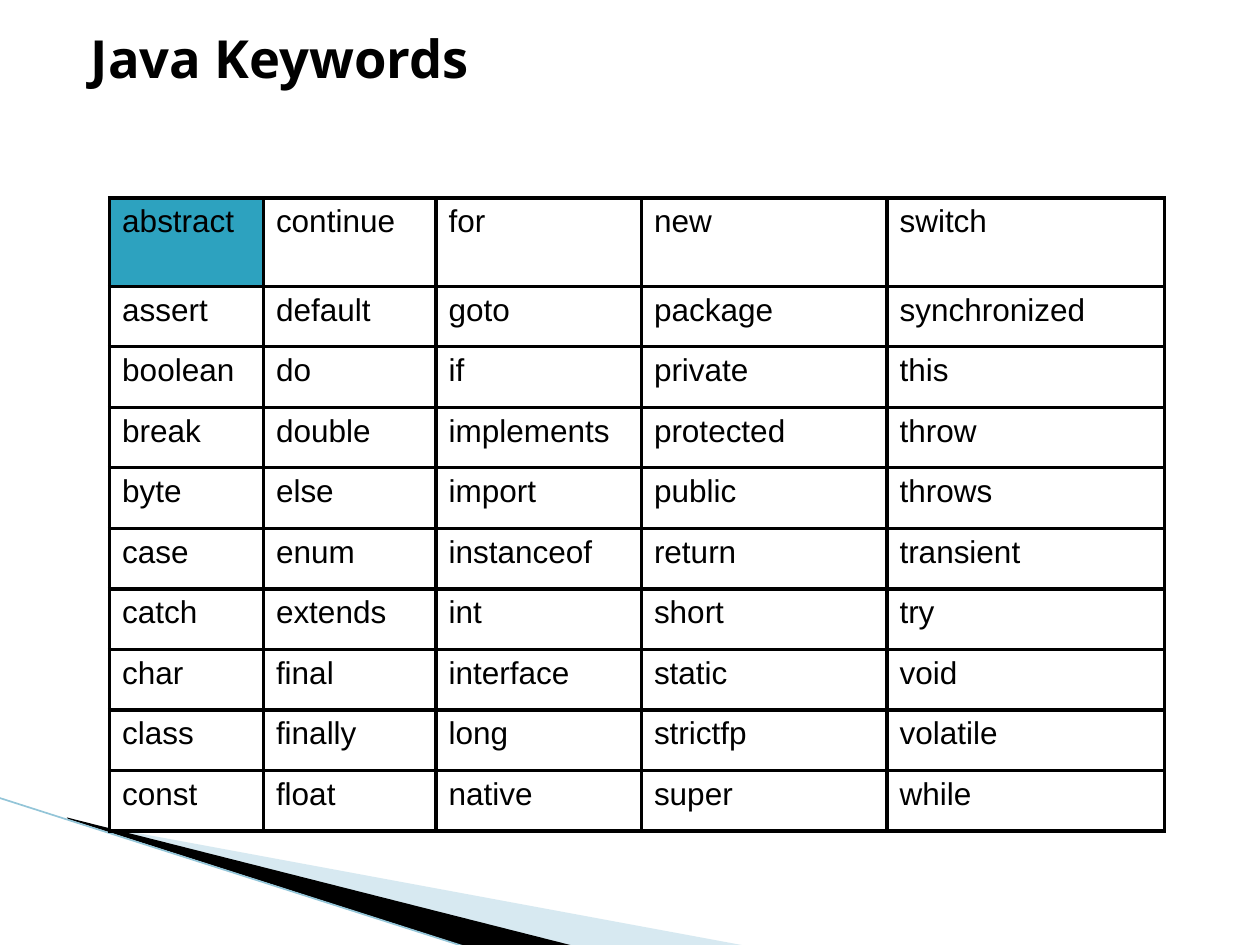
"""Build a slide with a table of the Java keywords."""
from lxml import etree
from pptx import Presentation
from pptx import util as u
from pptx.dml.color import RGBColor
from pptx.enum import shapes, text
from pptx.oxml import ns


def tint(form, code):
    form.solid()
    form.fore_color.rgb = RGBColor.from_string(code)


def style(para, font, size, bold=False):
    for run in para.runs:
        run.font.name = font
        run.font.size = u.Pt(size)
        run.font.bold = bold
        tint(run.font.fill, "000000")


deck = Presentation()
deck.slide_width, deck.slide_height = u.Cm(25.4), u.Cm(19.05)
slide = deck.slides.add_slide(deck.slide_layouts[6])

wedges = [
    ("9CCADC", 40, [(1.4, 16.54), (15.11, 19.08), (11.58, 19.08), (1.4, 16.51)]),
    ("000000", 100, [(1.35, 16.48), (11.61, 19.08), (9.45, 19.1), (1.37, 16.51)]),
]
for code, alpha, spots in wedges:
    spots = [(u.Cm(x), u.Cm(y)) for x, y in spots]
    pen = slide.shapes.build_freeform(*spots[0])
    pen.add_line_segments(spots[1:])
    wedge = pen.convert_to_shape()
    wedge.shadow.inherit = False
    tint(wedge.fill, code)
    wedge.line.fill.background()
    if alpha < 100:
        hue = wedge.fill._xPr.find(".//" + ns.qn("a:srgbClr"))
        etree.SubElement(hue, ns.qn("a:alpha"), val=str(alpha * 1000))

edge = slide.shapes.add_connector(
    shapes.MSO_CONNECTOR.STRAIGHT, u.Cm(-0.03), u.Cm(16.08), u.Cm(9.42), u.Cm(19.1))
tint(edge.line.fill, "93C5D8")
edge.line.width = u.Pt(0.95)
etree.SubElement(edge._element.spPr, ns.qn("a:effectLst"))

title = slide.shapes.add_textbox(u.Cm(1.27), u.Cm(0.41), u.Cm(22.86), u.Cm(1.55))
frame = title.text_frame
frame.word_wrap = True
frame.auto_size = text.MSO_AUTO_SIZE.SHAPE_TO_FIT_TEXT
frame.text = "Java Keywords"
para = frame.paragraphs[0]
props = para._p.get_or_add_pPr()
props.set("marL", str(u.Cm(1.02)))
props.set("indent", str(u.Cm(-0.71)))
style(para, "Open Sans", 30, True)

words = [
    "abstract continue for new switch",
    "assert default goto package synchronized",
    "boolean do if private this",
    "break double implements protected throw",
    "byte else import public throws",
    "case enum instanceof return transient",
    "catch extends int short try",
    "char final interface static void",
    "class finally long strictfp volatile",
    "const float native super while",
]
widths = [3.1, 3.48, 4.14, 4.95, 5.59]
heights = [1.78] + [1.22] * 9
grid = slide.shapes.add_table(
    len(heights), len(widths), u.Cm(2.21), u.Cm(3.99),
    u.Cm(sum(widths)), u.Cm(sum(heights))).table
grid.first_row = grid.horz_banding = False
for col, width in zip(grid.columns, widths):
    col.width = u.Cm(width)
for row, height, line in zip(grid.rows, heights, words):
    row.height = u.Cm(height)
    for cell, word in zip(row.cells, line.split()):
        cell.text = word
        style(cell.text_frame.paragraphs[0], "Arial", 18)
        props = cell._tc.get_or_add_tcPr()
        for side in "LRTB":
            rule = etree.SubElement(props, ns.qn("a:ln" + side), w=str(u.Pt(2.25)))
            paint = etree.SubElement(rule, ns.qn("a:solidFill"))
            etree.SubElement(paint, ns.qn("a:srgbClr"), val="000000")
        tint(cell.fill, "2DA2BF" if word == "abstract" else "FFFFFF")

deck.save("out.pptx")
